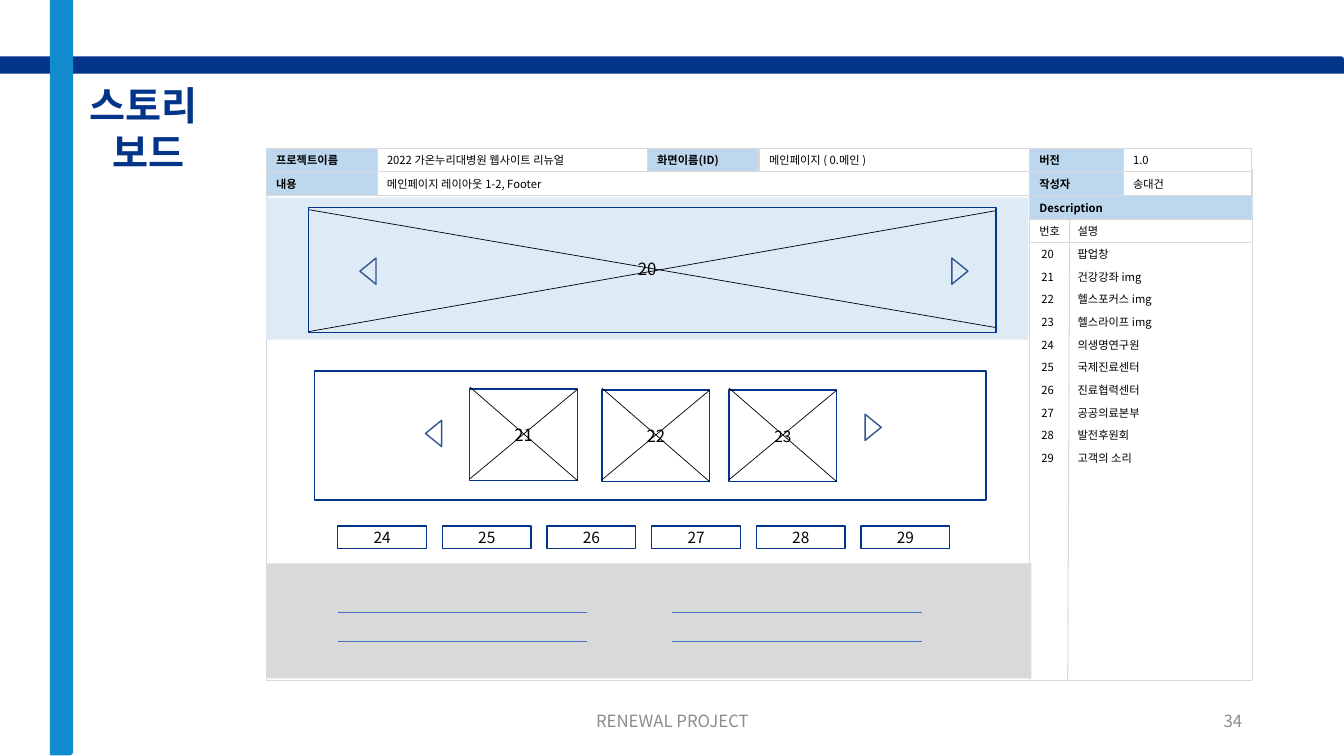
from lxml.etree import SubElement
from pptx import Presentation
from pptx.dml.color import RGBColor
from pptx.enum.shapes import MSO_CONNECTOR, MSO_SHAPE
from pptx.enum.text import MSO_ANCHOR, PP_ALIGN
from pptx.oxml.ns import qn
from pptx.util import Inches, Pt

NAVY, BLACK, GRID = "023489", "000000", "D9D9D9"
HEADER = "BDD7EE"
BODY_FONT = "Noto Sans CJK KR"
ENTRIES = ["팝업창", "건강강좌 img", "헬스포커스 img", "헬스라이프 img", "의생명연구원",
           "국제진료센터", "진료협력센터", "공공의료본부", "발전후원회", "고객의 소리"]
FIRST_NUMBER = 20


def colour(value):
    return RGBColor.from_string(value)


def write(shape, text, size=8, color=BLACK, bold=False, align=PP_ALIGN.LEFT,
          anchor=MSO_ANCHOR.MIDDLE, font=BODY_FONT, spacing=None, margin=0):
    frame = shape.text_frame
    frame.word_wrap = True
    frame.vertical_anchor = anchor
    frame.margin_left = frame.margin_right = Inches(0.1)
    frame.margin_top = frame.margin_bottom = Inches(margin)
    for index, line in enumerate(text.split("\n")):
        para = frame.add_paragraph() if index else frame.paragraphs[0]
        para.alignment = align
        if spacing:
            para.line_spacing = Pt(spacing)
        span = para.add_run()
        span.text = line
        span.font.size = Pt(size)
        span.font.bold = bold
        span.font.name = font
        span.font.color.rgb = colour(color)
        SubElement(span.font._element, qn("a:ea")).set("typeface", BODY_FONT)


def add_label(page, box, text, **style):
    write(page.shapes.add_textbox(*map(Inches, box)), text, **style)


def add_block(page, box, fill=None, line=None, width=1, kind=MSO_SHAPE.RECTANGLE, turn=0):
    block = page.shapes.add_shape(kind, *map(Inches, box))
    block.shadow.inherit = False
    block.rotation = turn
    if fill:
        block.fill.solid()
        block.fill.fore_color.rgb = colour(fill)
    else:
        block.fill.background()
    if line:
        block.line.color.rgb = colour(line)
        block.line.width = Pt(width)
    else:
        block.line.fill.background()
    return block


def add_line(page, start, end, color=GRID, width=0.75):
    line = page.shapes.add_connector(MSO_CONNECTOR.STRAIGHT, *map(Inches, (*start, *end)))
    line.line.color.rgb = colour(color)
    line.line.width = Pt(width)
    SubElement(line._element.spPr, qn("a:effectLst"))


def add_cross(page, box, insets):
    left, top, width, height = box
    right, bottom = left + width, top + height
    fall_start, fall_end, rise_start, rise_end = insets
    add_line(page, (left, top + fall_start), (right, bottom - fall_end), BLACK, 0.5)
    add_line(page, (left, bottom - rise_start), (right, top + rise_end), BLACK, 0.5)


def add_arrow(page, left, top, turn):
    add_block(page, (left, top, 0.26, 0.16), line="325491",
              kind=MSO_SHAPE.ISOSCELES_TRIANGLE, turn=turn)


def draw_bands(page, box):
    left, top, width, height = box
    corner = MSO_SHAPE.ROUND_1_RECTANGLE
    add_block(page, (left, top + 0.56, width, 0.17), NAVY, kind=corner)
    add_block(page, (left + 0.61 - height / 2, top + 3.63, height, 0.23), "128CCF",
              kind=corner, turn=90)


def draw_footer(page, box):
    left, top, width, height = box
    style = {"size": 12, "color": "8C8C8C"}
    add_label(page, (left, top, 4.5, height), "RENEWAL PROJECT", align=PP_ALIGN.CENTER, **style)
    add_label(page, (left + width - 3, top, 3, height), "34", align=PP_ALIGN.RIGHT, **style)


def draw_title(page, box):
    title = page.shapes.title
    title.left, title.top, title.width, title.height = map(Inches, box)
    write(title, "스토리 \n보드", size=28, color=NAVY, bold=True, align=PP_ALIGN.CENTER,
          anchor=MSO_ANCHOR.TOP, font="Noto Sans", spacing=33.6, margin=0.05)


def draw_header(page, box):
    left, top, _, height = box
    row = height / 2
    cells = [
        (0, 0, 1.1, "프로젝트이름", True),
        (0, 1.1, 2.69, "2022 가온누리대병원 웹사이트 리뉴얼", False),
        (0, 3.78, 1.1, "화면이름(ID)", True),
        (0, 4.89, 2.68, "메인페이지 ( 0.메인 )", False),
        (0, 7.57, 0.93, "버전", True),
        (0, 8.5, 1.27, "1.0", False),
        (1, 0, 1.1, "내용", True),
        (1, 1.1, 6.47, "메인페이지 레이아웃 1-2, Footer", False),
        (1, 7.57, 0.93, "작성자", True),
        (1, 8.5, 1.27, "송대건", False),
    ]
    for level, offset, width, text, is_name in cells:
        cell = add_block(page, (left + offset, top + level * row, width, row),
                         HEADER if is_name else None, GRID, 0.75)
        write(cell, text, bold=is_name)


def draw_frame(page, box):
    left, top, width, height = box
    right, bottom = left + width, top + height
    add_line(page, (left, top), (left, bottom))
    add_line(page, (right, top), (right, bottom))
    add_line(page, (left, bottom), (right, bottom))


def draw_description(page, box):
    left, top, width, height = box
    heading = add_block(page, (left, top, width, 0.24), HEADER, GRID, 0.75)
    write(heading, "Description", bold=True)
    bottom = top + height
    add_line(page, (left, top), (left, bottom))
    add_line(page, (left + 0.4, top + 0.23), (left + 0.38, bottom))
    add_line(page, (left, top + 0.47), (left + width, top + 0.47))
    add_label(page, (left, top + 0.23, 0.45, 0.24), "번호")
    add_label(page, (left + 0.38, top + 0.23, 1.83, 0.24), "설명")
    for index, entry in enumerate(ENTRIES):
        level = top + 0.46 + index * 0.225
        add_label(page, (left + 0.02, level, 0.45, 0.24), str(FIRST_NUMBER + index))
        add_label(page, (left + 0.38, level, 1.83, 0.24), entry)


def draw_banner(page, box):
    left, top, _, _ = box
    write(add_block(page, box, "DEEBF7"), "20", size=12, align=PP_ALIGN.CENTER)
    popup = (left + 0.42, top + 0.1, 6.82, 1.24)
    add_cross(page, popup, (0.02, 0.05, 0.01, 0.03))
    add_arrow(page, left + 0.88, top + 0.65, 270)
    add_arrow(page, left + 6.75, top + 0.65, 90)
    add_block(page, popup, line=NAVY)


def draw_gallery(page, box):
    left, top, _, _ = box
    add_block(page, box, line=NAVY)
    for number, offset, drop, size in [(21, 1.54, 0.18, 12), (22, 2.85, 0.19, 12),
                                       (23, 4.11, 0.19, 11)]:
        picture = (left + offset, top + drop, 1.07, 0.91)
        write(add_block(page, picture, line=NAVY), str(number), size=size,
              align=PP_ALIGN.CENTER)
        add_cross(page, picture, (-0.02, 0, 0.02, 0))
    add_arrow(page, left + 1.05, top + 0.54, 270)
    add_arrow(page, left + 5.41, top + 0.48, 90)


def draw_buttons(page, box):
    left, top, width, height = box
    button_width = 0.88
    pitch = (width - button_width) / 5
    for index in range(6):
        button = add_block(page, (left + index * pitch, top, button_width, height), line=NAVY)
        write(button, str(24 + index), size=11, align=PP_ALIGN.CENTER)


def draw_site_footer(page, box):
    left, top, _, _ = box
    add_block(page, box, GRID)
    for offset in (0.71, 4.03):
        for drop in (0.49, 0.77):
            add_line(page, (left + offset, top + drop), (left + offset + 2.47, top + drop),
                     "4472C4", 0.5)


def main():
    deck = Presentation()
    deck.slide_width, deck.slide_height = Inches(13.33), Inches(7.5)
    page = deck.slides.add_slide(deck.slide_layouts[5])
    draw_bands(page, (0, 0, 13.33, 7.5))
    draw_footer(page, (4.42, 6.95, 8, 0.4))
    draw_title(page, (0.45, 0.76, 2.04, 1.04))
    draw_header(page, (2.64, 1.47, 9.77, 0.47))
    draw_description(page, (10.21, 1.94, 2.2, 4.81))
    draw_frame(page, (2.64, 1.68, 9.78, 5.07))
    draw_site_footer(page, (2.64, 5.59, 7.59, 1.14))
    draw_banner(page, (2.64, 1.96, 7.56, 1.41))
    draw_gallery(page, (3.12, 3.68, 6.66, 1.28))
    draw_buttons(page, (3.35, 5.22, 6.07, 0.22))
    deck.save("out.pptx")


if __name__ == "__main__":
    main()
